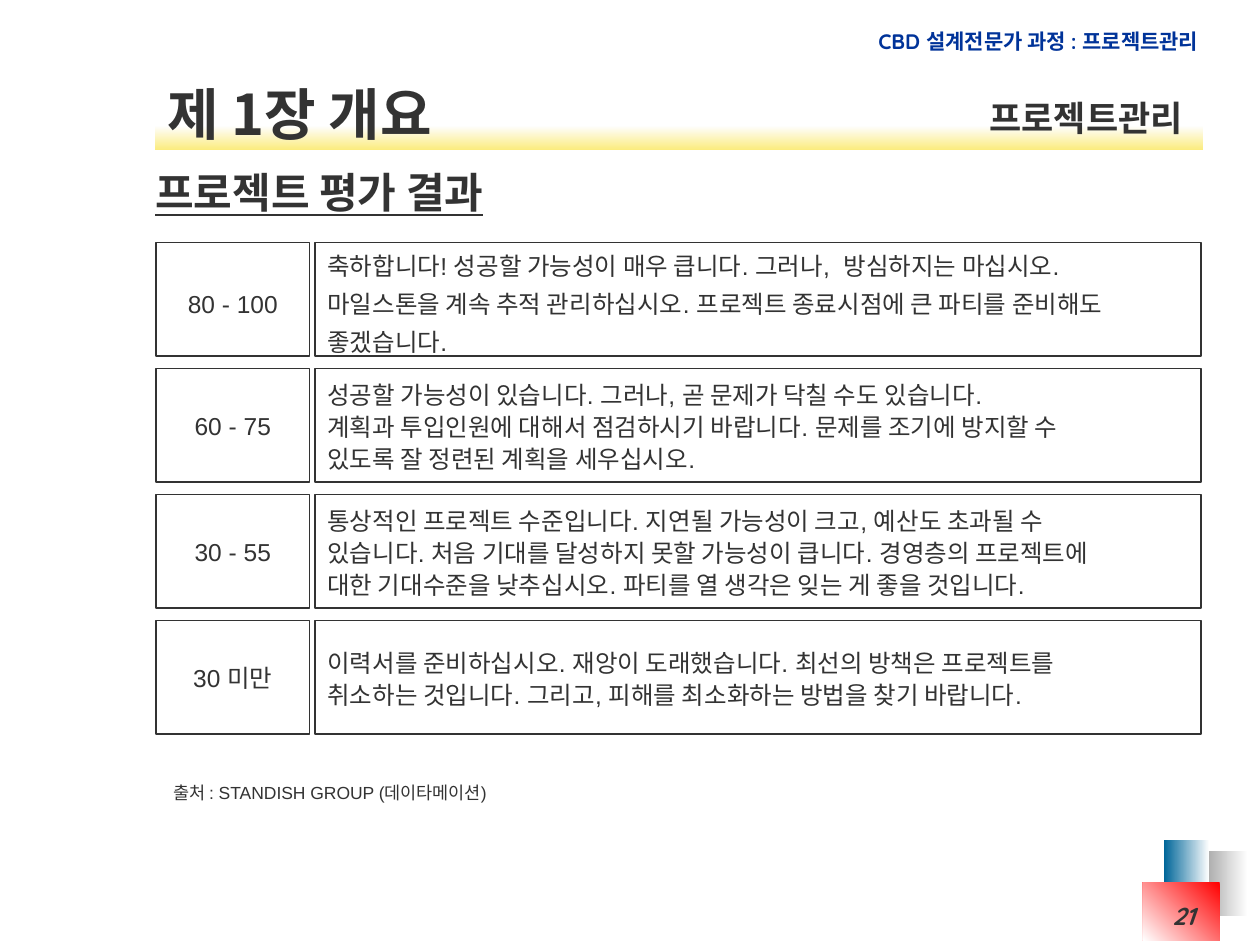
from lxml import etree
from pptx import Presentation
from pptx.dml.color import RGBColor
from pptx.enum.shapes import MSO_SHAPE
from pptx.enum.text import MSO_ANCHOR, PP_ALIGN
from pptx.oxml.ns import qn
from pptx.util import Cm, Pt

RECT = MSO_SHAPE.RECTANGLE
LEFT, CENTER, RIGHT = PP_ALIGN.LEFT, PP_ALIGN.CENTER, PP_ALIGN.RIGHT
TOP, MIDDLE = MSO_ANCHOR.TOP, MSO_ANCHOR.MIDDLE
KOREAN, HEADER_FONT, BODY_FONT = "Noto Sans CJK KR", "Quicksand", "Arial"
INK = "333333"


def rgb(value):
    return RGBColor.from_string(value)


def write(box, text, size=14, font=BODY_FONT, color=INK, bold=False, italic=False,
          underline=False, align=LEFT, anchor=TOP, spacing=1.0, wrap=False):
    frame = box.text_frame
    frame.word_wrap = wrap
    frame.vertical_anchor = anchor
    for i, line in enumerate(text.split("\n")):
        paragraph = frame.paragraphs[0] if i == 0 else frame.add_paragraph()
        paragraph.alignment = align
        paragraph.line_spacing = spacing
        run = paragraph.add_run()
        run.text = line
        run.font.size = Pt(size)
        run.font.name = font
        run.font.bold = bold
        run.font.italic = italic
        run.font.underline = underline
        run.font.color.rgb = rgb(color)
        # East Asian typeface for the Korean letters
        etree.SubElement(run.font._element, qn("a:ea")).set("typeface", KOREAN)


prs = Presentation()
prs.slide_width, prs.slide_height = Cm(25.4), Cm(19.05)
slide = prs.slides.add_slide(prs.slide_layouts[6])
shapes = slide.shapes

# Corner blocks and the yellow band under the chapter heading
gradient_blocks = [
    (24.13, 17.15, 1.02, 1.32, "FFFFFF", "969696", 180),
    (23.47, 16.94, 0.91, 1.32, "FFFFFF", "006699", 180),
    (23.04, 17.79, 1.55, 1.17, "FF0000", "FFFFFF", 225),
    (3.12, 2.54, 21.13, 0.48, "FEFEFE", "FBEC7F", 270),
]
for left, top, width, height, start, end, angle in gradient_blocks:
    block = shapes.add_shape(RECT, Cm(left), Cm(top), Cm(width), Cm(height))
    block.shadow.inherit = False
    block.line.fill.background()
    block.fill.gradient()
    block.fill.gradient_angle = angle
    for stop, color in zip(block.fill.gradient_stops, (start, end)):
        stop.color.rgb = rgb(color)

# Headings, source and page number
captions = [
    (17.15, 0.46, 7.26, 0.76, "CBD 설계전문가 과정 : 프로젝트관리",
     dict(size=12, font=HEADER_FONT, color="003399", bold=True, align=RIGHT)),
    (2.88, 3.1, 21.13, 1.55, "프로젝트 평가 결과",
     dict(size=24, font=KOREAN, bold=True, underline=True, anchor=MIDDLE, wrap=True)),
    (3.24, 15.63, 7.21, 0.69, "출처 : STANDISH GROUP (데이타메이션)", dict(size=10)),
    (3.12, 1.5, 7.26, 1.55, "제 1장 개요",
     dict(size=32, font=KOREAN, bold=True, anchor=MIDDLE, wrap=True)),
    (19.5, 1.83, 4.6, 1.12, "프로젝트관리",
     dict(size=20, font=KOREAN, bold=True, align=RIGHT)),
    (21.21, 18.03, 3.12, 1.02, "21",
     dict(font=HEADER_FONT, bold=True, italic=True, align=RIGHT, wrap=True)),
]
for left, top, width, height, text, style in captions:
    caption = shapes.add_textbox(Cm(left), Cm(top), Cm(width), Cm(height))
    write(caption, text, **style)

# Score ranges with their verdicts: score spacing, verdict spacing
ratings = [
    ("80 - 100", 1.3, 1.3,
     "축하합니다! 성공할 가능성이 매우 큽니다. 그러나,  방심하지는 마십시오.\n"
     "마일스톤을 계속 추적 관리하십시오. 프로젝트 종료시점에 큰 파티를 준비해도\n"
     "좋겠습니다."),
    ("60 - 75", 1.0, 1.1,
     "성공할 가능성이 있습니다. 그러나, 곧 문제가 닥칠 수도 있습니다.\n"
     "계획과 투입인원에 대해서 점검하시기 바랍니다. 문제를 조기에 방지할 수\n"
     "있도록 잘 정련된 계획을 세우십시오."),
    ("30 - 55", 1.0, 1.1,
     "통상적인 프로젝트 수준입니다. 지연될 가능성이 크고, 예산도 초과될 수\n"
     "있습니다. 처음 기대를 달성하지 못할 가능성이 큽니다. 경영층의 프로젝트에\n"
     "대한 기대수준을 낮추십시오. 파티를 열 생각은 잊는 게 좋을 것입니다."),
    ("30 미만", 1.0, 1.1,
     "이력서를 준비하십시오. 재앙이 도래했습니다. 최선의 방책은 프로젝트를\n"
     "취소하는 것입니다. 그리고, 피해를 최소화하는 방법을 찾기 바랍니다."),
]
FIRST_TOP, ROW_PITCH, ROW_HEIGHT = 4.89, 2.54, 2.29
for row, (score, score_spacing, verdict_spacing, verdict) in enumerate(ratings):
    cells = [
        (3.15, 3.09, score, CENTER, score_spacing),
        (6.35, 17.86, verdict, LEFT, verdict_spacing),
    ]
    for left, width, text, align, spacing in cells:
        cell = shapes.add_shape(RECT, Cm(left), Cm(FIRST_TOP + row * ROW_PITCH),
                                Cm(width), Cm(ROW_HEIGHT))
        cell.shadow.inherit = False
        cell.fill.solid()
        cell.fill.fore_color.rgb = rgb("FFFFFF")
        cell.line.color.rgb = rgb(INK)
        cell.line.width = Pt(1)
        write(cell, text, align=align, anchor=MIDDLE, spacing=spacing)

prs.save("out.pptx")
